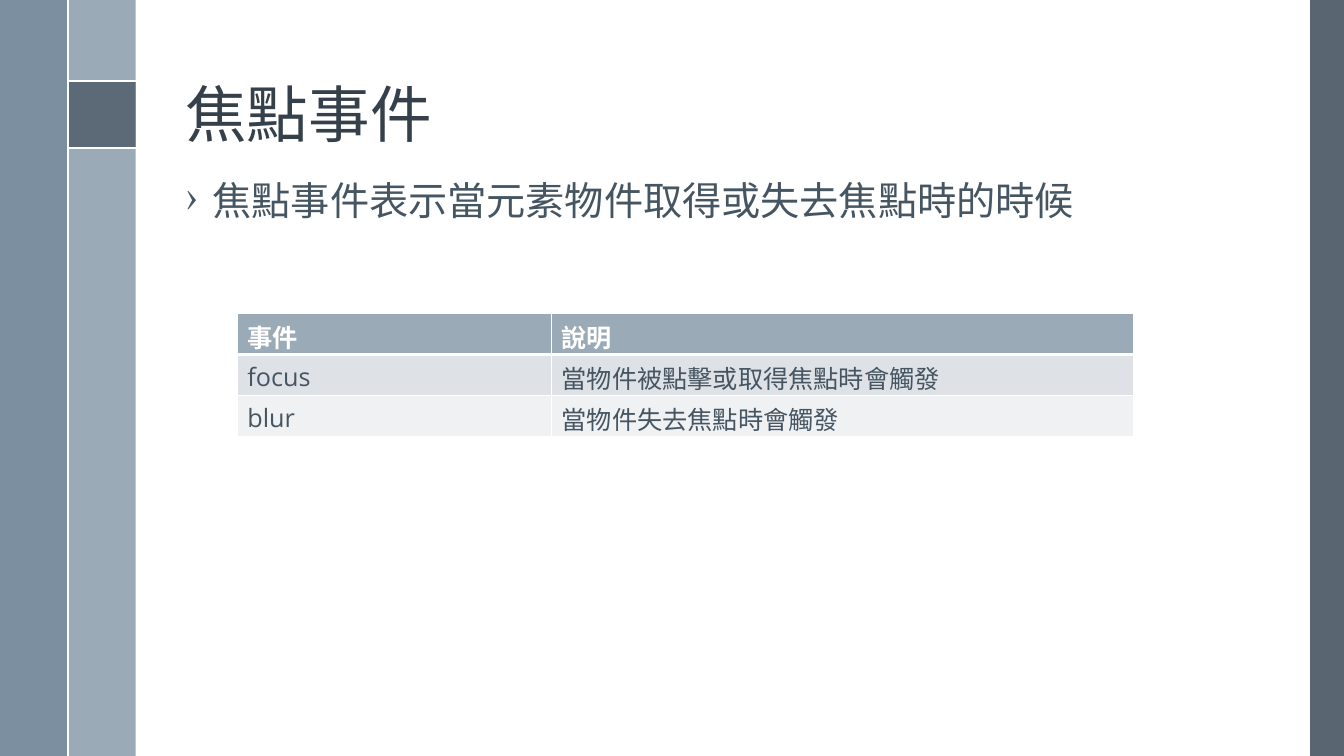
"""Build the slide on focus events."""
from dataclasses import dataclass

from lxml.etree import SubElement
from pptx import Presentation
from pptx.dml.color import RGBColor
from pptx.enum.shapes import MSO_CONNECTOR, MSO_SHAPE
from pptx.enum.text import MSO_ANCHOR
from pptx.oxml.ns import qn
from pptx.util import Cm, Pt


@dataclass(frozen=True)
class Theme:
    white: str = "FFFFFF"
    slate: str = "475562"
    steel: str = "6A8093"
    mist: str = "9BAAB7"
    heading: str = "35404A"
    text: str = "465562"
    bands: tuple = ("DEE2E6", "EFF1F3")
    latin: str = "Open Sans"
    chinese: str = "Noto Sans CJK TC"
    title_size: int = 44
    body_size: int = 28
    table_size: int = 18
    rule_width: float = 1.5
    border_width: int = 1
    header_rule: int = 3


class Slide:
    def __init__(self, page, theme):
        self.page = page
        self.theme = theme

    def style(self, para, size, color, latin, bold=False):
        font = para.font
        font.name, font.size, font.bold = latin, Pt(size), bold
        font.color.rgb = RGBColor.from_string(color)
        defaults = para._p.get_or_add_pPr().find(qn("a:defRPr"))
        SubElement(defaults, qn("a:ea"), typeface=self.theme.chinese)

    def panel(self, left, top, width, height, color, opacity=100):
        box = self.page.shapes.add_shape(
            MSO_SHAPE.RECTANGLE, Cm(left), Cm(top), Cm(width), Cm(height))
        box.shadow.inherit = False
        box.line.fill.background()
        box.fill.solid()
        box.fill.fore_color.rgb = RGBColor.from_string(color)
        if opacity < 100:
            tint = box._element.spPr.find(qn("a:solidFill"))[0]
            SubElement(tint, qn("a:alpha"), val=str(opacity * 1000))

    def rule(self, left, top, right, bottom):
        line = self.page.shapes.add_connector(
            MSO_CONNECTOR.STRAIGHT, Cm(left), Cm(top), Cm(right), Cm(bottom))
        line.line.color.rgb = RGBColor.from_string(self.theme.white)
        line.line.width = Pt(self.theme.rule_width)
        SubElement(line._element.spPr, qn("a:effectLst"))

    def text(self, left, top, width, height, words, size, color,
             anchor=MSO_ANCHOR.TOP, bullet=None):
        box = self.page.shapes.add_textbox(Cm(left), Cm(top), Cm(width), Cm(height))
        frame = box.text_frame
        frame.word_wrap = True
        frame.vertical_anchor = anchor
        para = frame.paragraphs[0]
        para.text = words
        para.line_spacing = 0.9
        if bullet:
            para.space_before = Pt(14)
            properties = para._p.get_or_add_pPr()
            indent = Cm(0.69)
            properties.set("marL", str(indent))
            properties.set("indent", str(-indent))
            SubElement(properties, qn("a:buChar"), char=bullet)
        self.style(para, size, color, self.theme.chinese)

    def border(self, cell, side, width):
        edge = SubElement(cell._tc.get_or_add_tcPr(), qn(f"a:ln{side}"), w=str(Pt(width)))
        fill = SubElement(edge, qn("a:solidFill"))
        SubElement(fill, qn("a:srgbClr"), val=self.theme.white)

    def table(self, left, top, widths, row_height, rows):
        theme = self.theme
        grid = self.page.shapes.add_table(
            len(rows), len(widths), Cm(left), Cm(top),
            Cm(sum(widths)), Cm(row_height * len(rows))).table
        grid.first_row = grid.horz_banding = False
        for column, width in zip(grid.columns, widths):
            column.width = Cm(width)
        fills = (theme.mist, *theme.bands)
        for i, words in enumerate(rows):
            header = i == 0
            heavy = {"B"} if header else {"T"} if i == 1 else set()
            for j, word in enumerate(words):
                cell = grid.cell(i, j)
                for side in "LRTB":
                    self.border(cell, side, theme.header_rule if side in heavy
                                else theme.border_width)
                cell.fill.solid()
                cell.fill.fore_color.rgb = RGBColor.from_string(fills[i])
                cell.text = word
                self.style(cell.text_frame.paragraphs[0], theme.table_size,
                           theme.white if header else theme.text, theme.latin, header)


theme = Theme()
deck = Presentation()
deck.slide_width, deck.slide_height = Cm(33.87), Cm(19.05)
slide = Slide(deck.slides.add_slide(deck.slide_layouts[6]), theme)

height, strip, inner = 19.05, 1.7, 1.72
square_top, square_bottom = 2.05, 3.74
slide.panel(33.02, 0, 0.85, height, theme.slate, 90)
slide.panel(inner, 0, strip, height, theme.mist)
slide.panel(0, 0, strip, height, theme.steel, 88)
slide.panel(inner, square_top, strip, square_bottom - square_top, theme.slate, 75)
for level in (square_top, square_bottom):
    slide.rule(inner, level, inner + strip, level)
slide.rule(inner, 0, inner, height)

slide.text(4.42, 0.48, 27.18, 3.45, "焦點事件", theme.title_size, theme.heading,
           anchor=MSO_ANCHOR.BOTTOM)
slide.text(4.42, 4.45, 27.18, 12.7, "焦點事件表示當元素物件取得或失去焦點時的時候",
           theme.body_size, theme.text, bullet="›")
slide.table(5.98, 7.9, (7.92, 14.66), 1.03, (
    ("事件", "說明"),
    ("focus", "當物件被點擊或取得焦點時會觸發"),
    ("blur", "當物件失去焦點時會觸發"),
))

deck.save("out.pptx")
